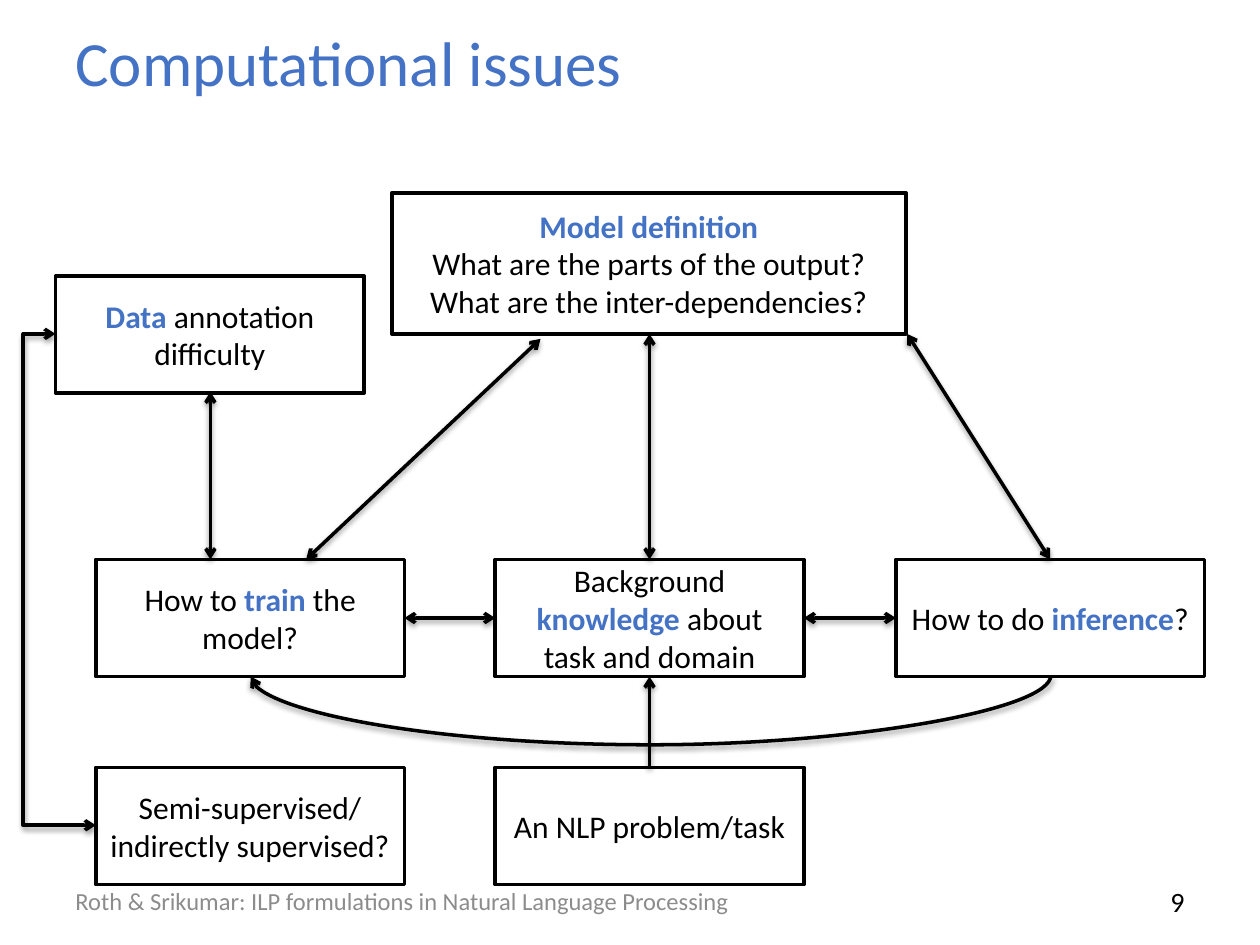
from lxml import etree
from pptx import Presentation
from pptx import util as u
from pptx.dml.color import RGBColor
from pptx.enum import shapes, text
from pptx.oxml import ns

COLORS = {"ink": "000000", "accent": "4472C4", "paper": "FFFFFF", "footer": "8C8C8C"}
BOX_W, BOX_H = 2.45, 0.93
COLUMNS = (0.76, 3.93, 7.11)
MIDDLE_ROW, BOTTOM_ROW = 4.44, 6.09
STRAIGHT = shapes.MSO_CONNECTOR.STRAIGHT


def color(name):
    return RGBColor.from_string(COLORS[name])


def child(parent, tag, **attributes):
    return etree.SubElement(parent, ns.qn(tag), attributes)


def write(shape, *paragraphs, size=18, ink="ink", align=text.PP_ALIGN.CENTER):
    """Fill a shape with text; words between asterisks are bold and accented."""
    frame = shape.text_frame
    frame.word_wrap = True
    frame.vertical_anchor = text.MSO_ANCHOR.MIDDLE
    for index, content in enumerate(paragraphs):
        paragraph = frame.add_paragraph() if index else frame.paragraphs[0]
        paragraph.alignment = align
        for part, words in enumerate(content.split("*")):
            if words:
                run = paragraph.add_run()
                run.text = words
                run.font.name = "Calibri"
                run.font.size = u.Pt(size)
                run.font.bold = part % 2 == 1
                run.font.color.rgb = color("accent" if part % 2 else ink)


def add_label(slide, content, left, top, width, height, **style):
    label = slide.shapes.add_textbox(*map(u.Inches, (left, top, width, height)))
    write(label, content, **style)


def add_box(slide, left, top, *paragraphs, width=BOX_W, height=BOX_H):
    box = slide.shapes.add_shape(
        shapes.MSO_SHAPE.RECTANGLE, *map(u.Inches, (left, top, width, height)))
    box.shadow.inherit = False
    box.fill.solid()
    box.fill.fore_color.rgb = color("paper")
    box.line.color.rgb = color("ink")
    box.line.width = u.Pt(2)
    write(box, *paragraphs)


def add_arrow(slide, start, end, kind=STRAIGHT, both=True, bend=None, turn=0):
    arrow = slide.shapes.add_connector(kind, *map(u.Inches, (*start, *end)))
    arrow.line.color.rgb = color("ink")
    arrow.line.width = u.Pt(2)
    props = arrow._element.spPr

    # Arrowheads
    line = arrow.line._get_or_add_ln()
    if both:
        child(line, "a:headEnd", type="arrow")
    child(line, "a:tailEnd", type="arrow")

    # Soft shadow below the line
    effects = child(props, "a:effectLst")
    shadow = child(effects, "a:outerShdw", blurRad=str(u.Pt(3.1)),
                   dist=str(u.Pt(1.6)), dir="5400000", rotWithShape="0")
    tint = child(shadow, "a:srgbClr", val=COLORS["ink"])
    child(tint, "a:alpha", val="38000")

    # Bend and rotation of routed connectors
    if bend is not None:
        guides = props.find(ns.qn("a:prstGeom")).find(ns.qn("a:avLst"))
        child(guides, "a:gd", name="adj1", fmla=f"val {round(bend * 100000)}")
    if turn:
        props.find(ns.qn("a:xfrm")).set("rot", str(turn * 60000))


def main():
    deck = Presentation()
    deck.slide_width, deck.slide_height = u.Inches(10), u.Inches(7.5)
    slide = deck.slides.add_slide(deck.slide_layouts[6])
    train, knowledge, inference = COLUMNS
    row_axis = MIDDLE_ROW + BOX_H / 2
    row_bottom = MIDDLE_ROW + BOX_H
    center = knowledge + BOX_W / 2

    # Title and footer
    left, right = text.PP_ALIGN.LEFT, text.PP_ALIGN.RIGHT
    add_label(slide, "Computational issues", 0.5, 0.15, 9, 0.68,
              size=36, ink="accent", align=left)
    add_label(slide, "Roth & Srikumar: ILP formulations in Natural Language Processing",
              0.5, 6.95, 6.08, 0.4, size=14, ink="footer", align=left)
    add_label(slide, "9", 7.17, 6.95, 2.33, 0.4, size=16, align=right)

    # Boxes
    add_box(slide, 3.11, 1.53, "*Model definition*",
            "What are the parts of the output? What are the inter-dependencies?",
            width=4.08, height=1.12)
    add_box(slide, 0.44, 2.19, "*Data *annotation difficulty")
    add_box(slide, train, MIDDLE_ROW, "How to *train *the model?")
    add_box(slide, knowledge, MIDDLE_ROW, "Background *knowledge* about task and domain")
    add_box(slide, inference, MIDDLE_ROW, "How to do *inference*?")
    add_box(slide, train, BOTTOM_ROW, "Semi-supervised/indirectly supervised?")
    add_box(slide, knowledge, BOTTOM_ROW, "An NLP problem/task")

    # Arrows between the middle row and the boxes above
    for start, end in (((1.67, MIDDLE_ROW), (1.67, 3.11)),
                       ((2.43, MIDDLE_ROW), (4.29, 2.69)),
                       ((center, MIDDLE_ROW), (center, 2.65)),
                       ((inference + BOX_W / 2, MIDDLE_ROW), (7.2, 2.65))):
        add_arrow(slide, start, end)

    # Arrows along the middle row
    for before, after in zip(COLUMNS, COLUMNS[1:]):
        add_arrow(slide, (before + BOX_W, row_axis), (after, row_axis))

    # Task to knowledge, inference to training, data to supervision
    add_arrow(slide, (center, BOTTOM_ROW), (center, row_bottom), both=False)
    add_arrow(slide, (5.16, 2.19), (5.17, 8.54), shapes.MSO_CONNECTOR.CURVE,
              both=False, bend=56, turn=90)
    add_arrow(slide, (0.44, 2.65), (train, 6.55), shapes.MSO_CONNECTOR.ELBOW, bend=-0.8)

    deck.save("out.pptx")


main()
